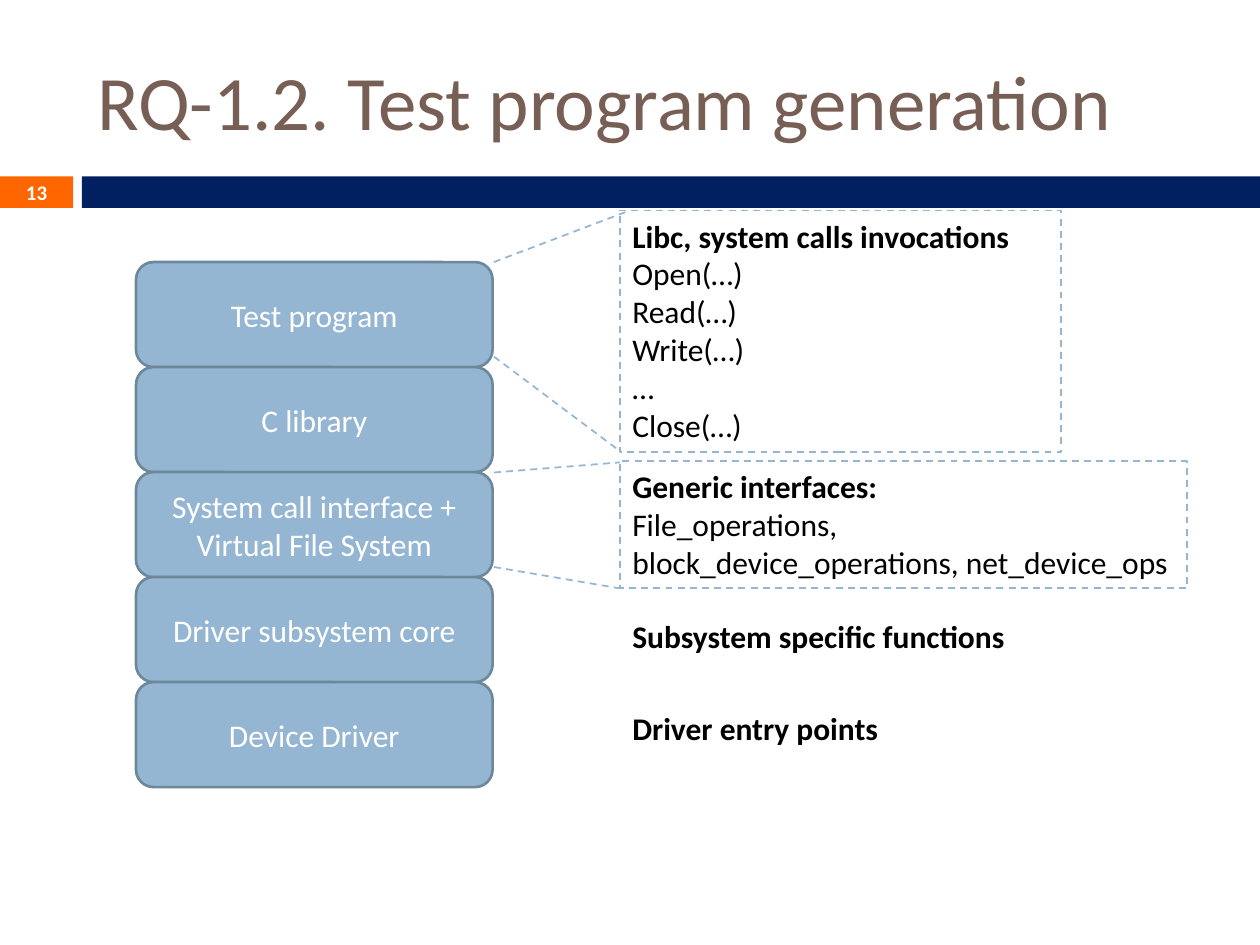
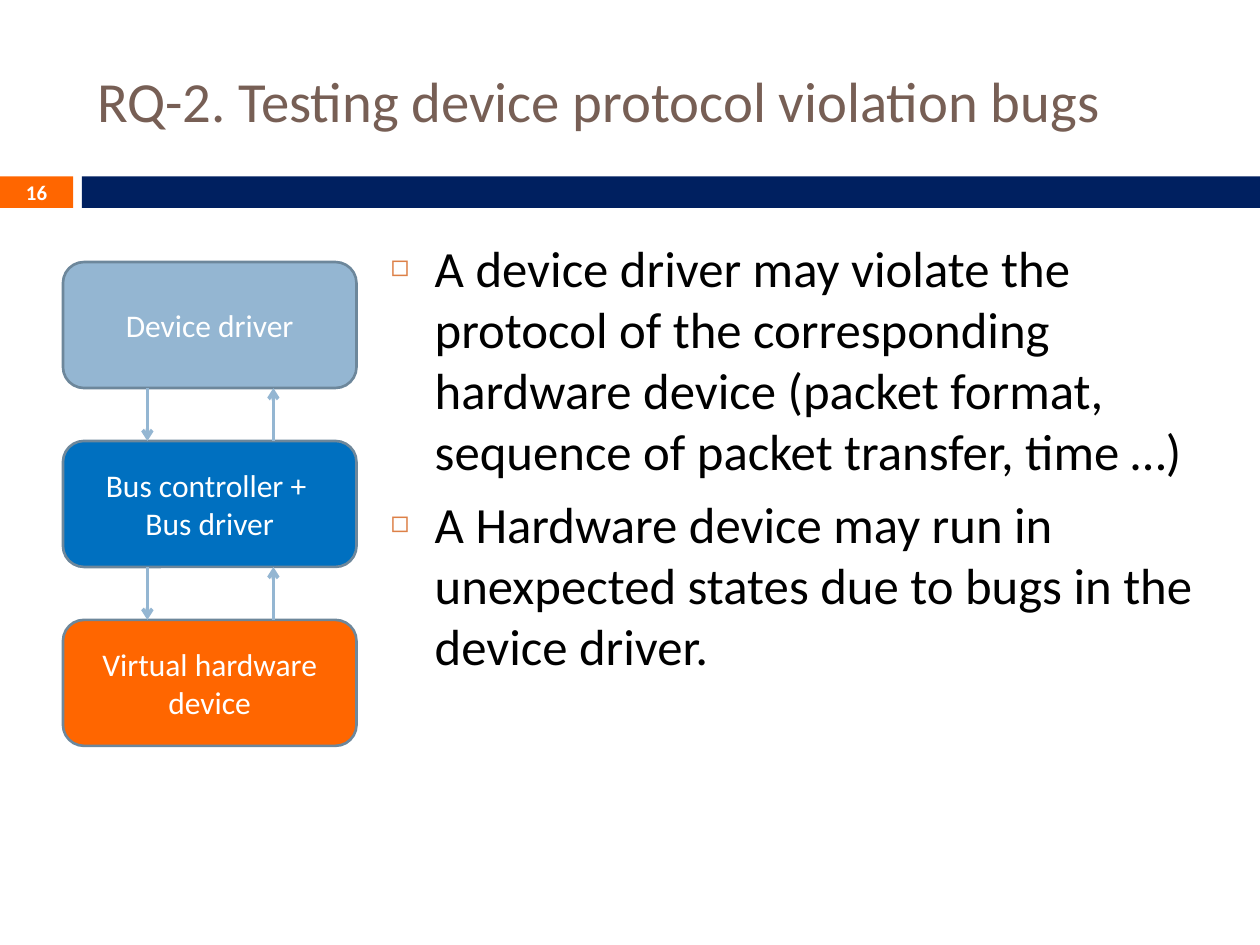
from dataclasses import dataclass
from typing import Any

from lxml.etree import SubElement
from pptx import Presentation
from pptx.dml.color import RGBColor
from pptx.enum.dml import MSO_LINE
from pptx.enum.shapes import MSO_CONNECTOR, MSO_SHAPE
from pptx.enum.text import MSO_ANCHOR, MSO_AUTO_SIZE, PP_ALIGN
from pptx.oxml.ns import qn
from pptx.util import Inches, Pt

FONT = "Calibri"
BROWN = RGBColor(0x77, 0x5F, 0x55)
ORANGE = RGBColor(0xFF, 0x66, 0x00)
NAVY = RGBColor(0x00, 0x20, 0x60)
BLUE = RGBColor(0x00, 0x70, 0xC0)
SKY = RGBColor(0x94, 0xB6, 0xD2)
SLATE = RGBColor(0x6D, 0x87, 0x9B)
WHITE = RGBColor(0xFF, 0xFF, 0xFF)
BLACK = RGBColor(0x00, 0x00, 0x00)
BULLET_COLOR = "DD8047"

TITLE_ONLY, TITLE_AND_CONTENT = 5, 1


@dataclass(frozen=True)
class Area:
    left: float
    top: float
    width: float
    height: float

    def lengths(self) -> list[int]:
        return [Inches(v) for v in (self.left, self.top, self.width, self.height)]


@dataclass(frozen=True)
class Layer:
    label: str
    area: Area
    fill: RGBColor = SKY


@dataclass(frozen=True)
class Note:
    heading: str
    details: tuple[str, ...]
    area: Area
    framed: bool = False


@dataclass(frozen=True)
class Link:
    start: tuple[float, float]
    end: tuple[float, float]
    width: float = 1
    arrow: bool = False


def apply_format(target: Any, values: dict[str, Any]) -> None:
    for attribute, value in values.items():
        setattr(target, attribute, value)


def format_font(paragraph: Any, size: float, color: RGBColor, bold: bool = False) -> None:
    apply_format(paragraph.font, {"name": FONT, "size": Pt(size), "bold": bold})
    paragraph.font.color.rgb = color


def place(shape: Any, area: Area) -> None:
    apply_format(shape, dict(zip(("left", "top", "width", "height"), area.lengths())))


def draw_band(slide: Any, area: Area, fill: RGBColor) -> None:
    band = slide.shapes.add_shape(MSO_SHAPE.RECTANGLE, *area.lengths())
    band.shadow.inherit = False
    band.fill.solid()
    band.fill.fore_color.rgb = fill
    band.line.fill.background()


def start_slide(deck: Any, layout: int, title: str, title_size: float, number: int) -> Any:
    slide = deck.slides.add_slide(deck.slide_layouts[layout])
    draw_band(slide, Area(0, 1.4, 0.58, 0.25), ORANGE)
    draw_band(slide, Area(0.65, 1.4, 9.35, 0.25), NAVY)

    heading = slide.shapes.title
    place(heading, Area(0.67, 0.25, 8.92, 1.08))
    heading.text_frame.text = title
    apply_format(heading.text_frame, {
        "vertical_anchor": MSO_ANCHOR.MIDDLE,
        "auto_size": MSO_AUTO_SIZE.NONE,
        "word_wrap": True,
    })
    heading.text_frame.paragraphs[0].alignment = PP_ALIGN.LEFT
    format_font(heading.text_frame.paragraphs[0], title_size, BROWN)

    page = slide.shapes.add_textbox(*Area(0, 1.39, 0.58, 0.27).lengths()).text_frame
    page.text = str(number)
    apply_format(page, {
        "vertical_anchor": MSO_ANCHOR.MIDDLE,
        "word_wrap": True,
        "margin_top": 0,
        "margin_bottom": 0,
    })
    page.paragraphs[0].alignment = PP_ALIGN.CENTER
    format_font(page.paragraphs[0], 11.9, WHITE, bold=True)
    return slide


def draw_layer(slide: Any, layer: Layer) -> None:
    box = slide.shapes.add_shape(MSO_SHAPE.ROUNDED_RECTANGLE, *layer.area.lengths())
    box.shadow.inherit = False
    box.fill.solid()
    box.fill.fore_color.rgb = layer.fill
    box.line.color.rgb = SLATE
    box.line.width = Pt(1.5)
    box.text_frame.text = layer.label
    apply_format(box.text_frame, {"vertical_anchor": MSO_ANCHOR.MIDDLE, "word_wrap": True})
    for paragraph in box.text_frame.paragraphs:
        paragraph.alignment = PP_ALIGN.CENTER
        format_font(paragraph, 18, WHITE)


def draw_note(slide: Any, note: Note) -> None:
    box = slide.shapes.add_textbox(*note.area.lengths())
    if note.framed:
        box.line.color.rgb = SKY
        apply_format(box.line, {"width": Pt(1), "dash_style": MSO_LINE.DASH})
    box.text_frame.text = "\n".join((note.heading, *note.details))
    apply_format(box.text_frame, {
        "word_wrap": True,
        "auto_size": MSO_AUTO_SIZE.SHAPE_TO_FIT_TEXT,
    })
    for index, paragraph in enumerate(box.text_frame.paragraphs):
        format_font(paragraph, 18, BLACK, bold=index == 0)


def draw_link(slide: Any, link: Link) -> None:
    ends = [Inches(v) for v in (*link.start, *link.end)]
    connector = slide.shapes.add_connector(MSO_CONNECTOR.STRAIGHT, *ends)
    connector.line.color.rgb = SKY
    connector.line.width = Pt(link.width)
    if link.arrow:
        SubElement(connector.line._get_or_add_ln(), qn("a:tailEnd"), type="arrow")
    else:
        connector.line.dash_style = MSO_LINE.DASH
    SubElement(connector._element.spPr, qn("a:effectLst"))


def fill_list(body: Any, area: Area, items: tuple[str, ...]) -> None:
    place(body, area)
    body.text_frame.text = "\n".join(items)
    apply_format(body.text_frame, {"auto_size": MSO_AUTO_SIZE.NONE, "word_wrap": True})
    for paragraph in body.text_frame.paragraphs:
        format_font(paragraph, 29, BLACK)
        paragraph.space_before = Pt(7)
        properties = paragraph._p.get_or_add_pPr()
        properties.set("marL", str(Inches(0.35)))
        properties.set("indent", str(-Inches(0.35)))
        SubElement(SubElement(properties, qn("a:buClr")), qn("a:srgbClr"), val=BULLET_COLOR)
        SubElement(properties, qn("a:buSzPct"), val="60000")
        SubElement(properties, qn("a:buChar"), char="◻")


def build_test_generation(deck: Any) -> None:
    slide = start_slide(deck, TITLE_ONLY, "RQ-1.2. Test program generation", 44, 13)
    stack_top, layer_height = 2.08, 5 / 6
    stack = (
        "Test program",
        "C library",
        "System call interface + Virtual File System",
        "Driver subsystem core",
        "Device Driver",
    )
    for index, label in enumerate(stack):
        area = Area(1.08, stack_top + index * layer_height, 2.83, layer_height)
        draw_layer(slide, Layer(label, area))

    note_left, stack_right = 4.92, 3.92
    notes = (
        Note("Libc, system calls invocations",
             ("Open(…)", "Read(…)", "Write(…)", "…", "Close(…)"),
             Area(note_left, 1.67, 3.5, 1.92), framed=True),
        Note("Generic interfaces:",
             ("File_operations,\vblock_device_operations, net_device_ops",),
             Area(note_left, 3.66, 4.5, 1.01), framed=True),
        Note("Subsystem specific functions", (), Area(note_left, 4.85, 5.17, 0.4)),
        Note("Driver entry points", (), Area(note_left, 5.58, 5.17, 0.4)),
    )
    for note in notes:
        draw_note(slide, note)

    callout_edges = (
        (2.08, 5, 1.67),
        (2.83, note_left, 3.58),
        (3.75, note_left, 3.67),
        (4.5, note_left, 4.67),
    )
    for layer_y, note_x, note_y in callout_edges:
        draw_link(slide, Link((stack_right, layer_y), (note_x, note_y)))


def build_protocol_testing(deck: Any) -> None:
    slide = start_slide(
        deck, TITLE_AND_CONTENT, "RQ-2. Testing device protocol violation bugs", 32.4, 16)
    fill_list(slide.placeholders[1], Area(3, 1.83, 6.59, 4.92), (
        "A device driver may violate the protocol of the corresponding hardware device "
        "(packet format, sequence of packet transfer, time …)",
        "A Hardware device may run in unexpected states due to bugs in the device driver.",
    ))

    layer_height, gap = 1, 0.42
    chain = (
        ("Device driver", SKY),
        ("Bus controller + \nBus driver", BLUE),
        ("Virtual hardware device", ORANGE),
    )
    for index, (label, fill) in enumerate(chain):
        top = 2.08 + index * (layer_height + gap)
        draw_layer(slide, Layer(label, Area(0.5, top, 2.33, layer_height), fill))
        if index:
            above = top - gap
            draw_link(slide, Link((1.17, above), (1.17, top), 2, arrow=True))
            draw_link(slide, Link((2.17, top), (2.17, above), 2, arrow=True))


def main() -> None:
    deck = Presentation()
    apply_format(deck, {"slide_width": Inches(10), "slide_height": Inches(7.5)})
    build_test_generation(deck)
    build_protocol_testing(deck)
    deck.save("out.pptx")


if __name__ == "__main__":
    main()
